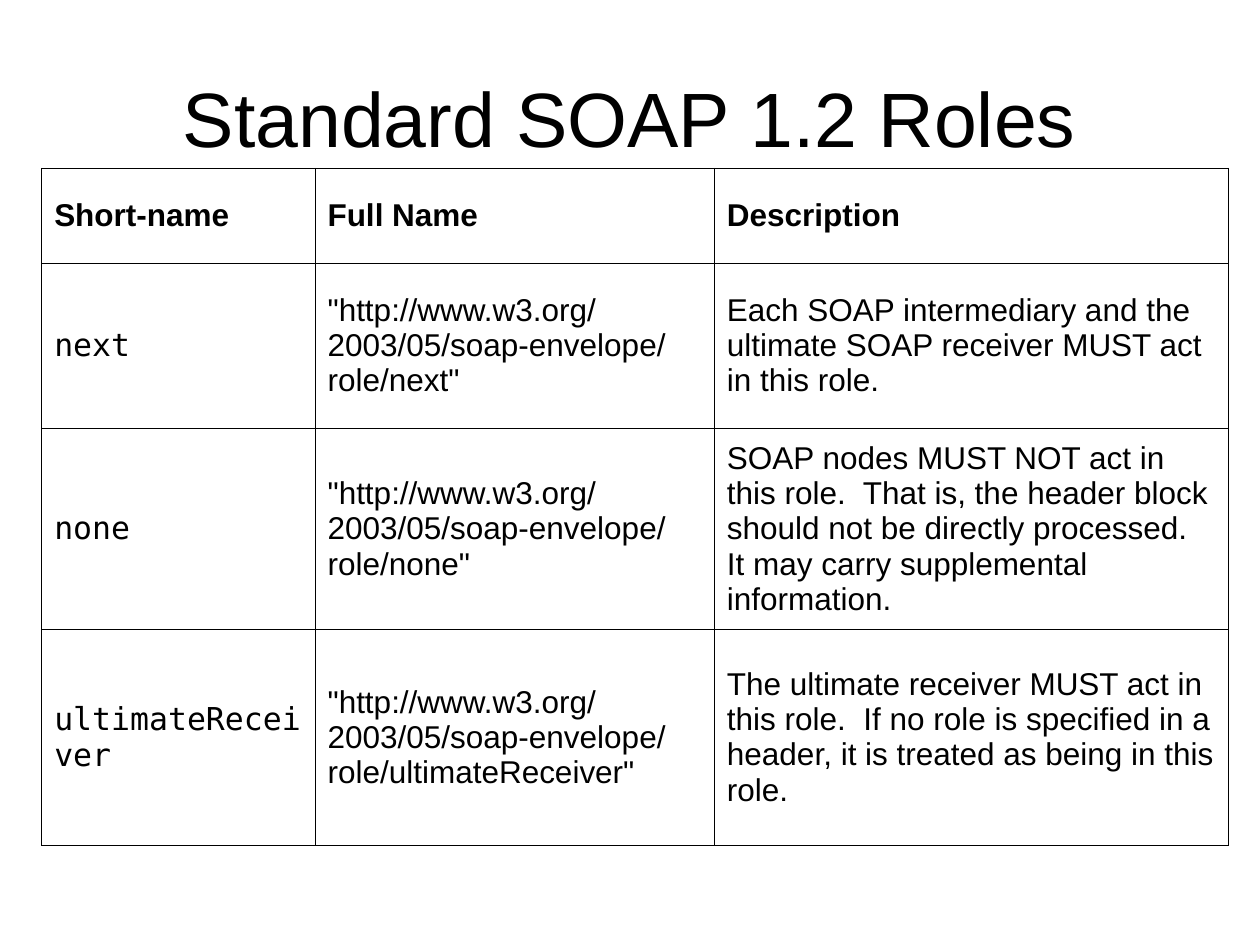
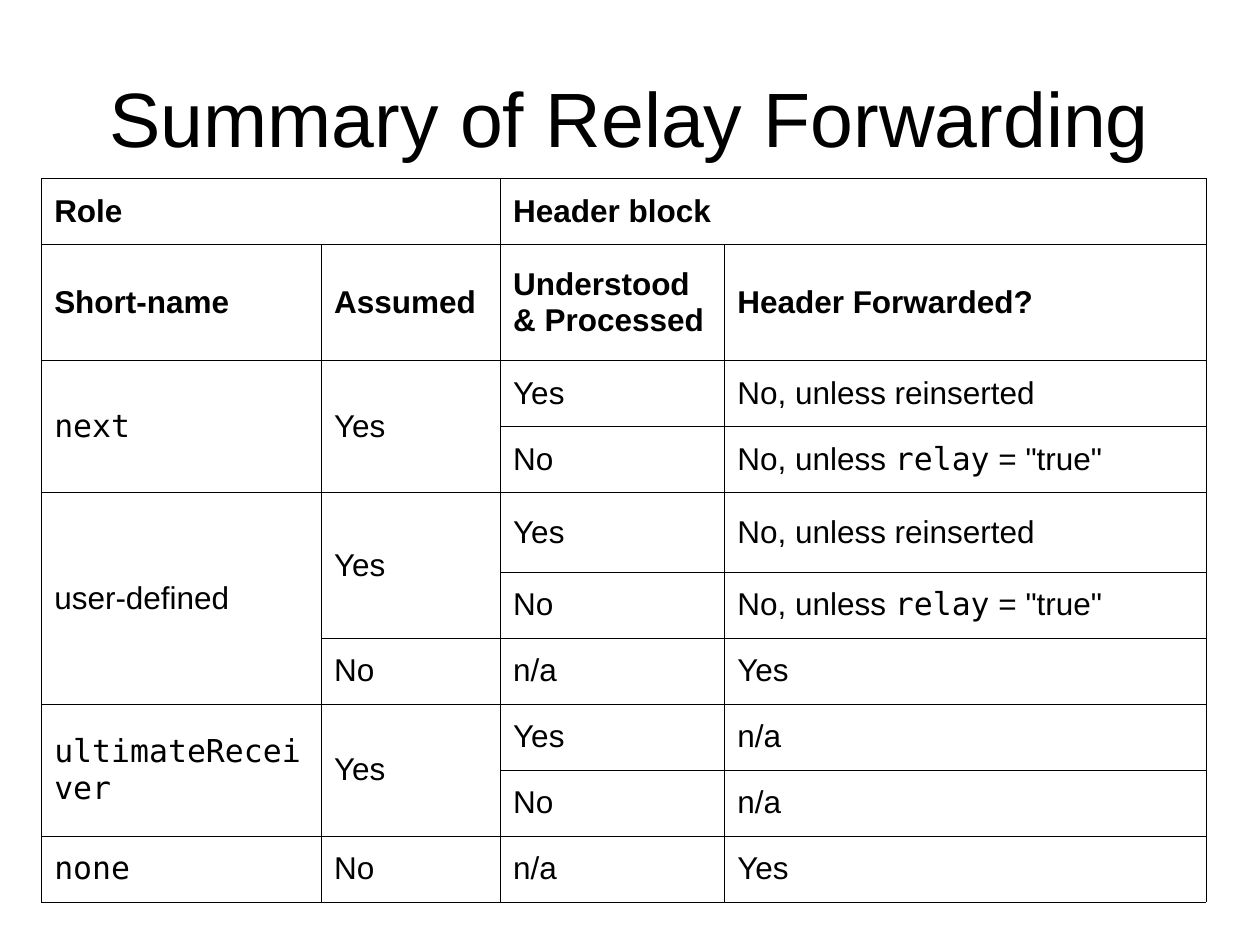
import pptx
import pptx.dml.color
import pptx.enum.text
import pptx.oxml
import pptx.oxml.ns
import pptx.util

Cm = pptx.util.Cm
Pt = pptx.util.Pt
MIDDLE = pptx.enum.text.MSO_ANCHOR.MIDDLE

BLACK = "000000"
TEXT_FONT = "Arial"
CODE_FONT = "DejaVu Sans Mono"
BORDER_WIDTH = Pt(0.34)
TABLE_LEFT = 0.84


def style_paragraph(paragraph, text, size, bold=False):
    """Fill a paragraph; text between backticks is set in the code font."""
    paragraph.font.size = Pt(size)
    paragraph.font.bold = bold
    paragraph.font.name = TEXT_FONT
    paragraph.font.color.rgb = pptx.dml.color.RGBColor.from_string(BLACK)
    for index, part in enumerate(text.split("`")):
        if part:
            run = paragraph.add_run()
            run.text = part
            if index % 2:
                run.font.name = CODE_FONT


def add_borders(cell):
    properties = cell._tc.get_or_add_tcPr()
    for side in "LRTB":
        properties.append(pptx.oxml.parse_xml(
            f'<a:ln{side} {pptx.oxml.ns.nsdecls("a")} w="{BORDER_WIDTH}">'
            f'<a:solidFill><a:srgbClr val="{BLACK}"/></a:solidFill></a:ln{side}>'))


NAMESPACE = "http://www.w3.org/2003/05/soap-envelope/role/"
REINSERTED = "No, unless reinserted"
RELAYED = 'No, unless `relay` = "true"'

# Merges are (first row, first column, last row, last column).
slides = [
    {
        "title": "Standard SOAP 1.2 Roles",
        "top": 3.39,
        "widths": [5.51, 8.05, 10.36],
        "heights": [1.91, 3.33, 4.06, 4.34],
        "header_rows": 1,
        "merges": [],
        "rows": [
            ["Short-name", "Full Name", "Description"],
            ["`next`", f'"{NAMESPACE}next"',
             "Each SOAP intermediary and the ultimate SOAP receiver MUST act in this role."],
            ["`none`", f'"{NAMESPACE}none"',
             "SOAP nodes MUST NOT act in this role.  That is, the header block should not be "
             "directly processed.  It may carry supplemental information."],
            ["`ultimateReceiver`", f'"{NAMESPACE}ultimateReceiver"',
             "The ultimate receiver MUST act in this role.  If no role is specified in a "
             "header, it is treated as being in this role."],
        ],
    },
    {
        "title": "Summary of Relay Forwarding",
        "top": 3.6,
        "widths": [5.64, 3.61, 4.52, 9.7],
        "heights": [1.33, 2.34, 1.33, 1.33, 1.6] + [1.33] * 5,
        "header_rows": 2,
        "merges": [(0, 0, 0, 1), (0, 2, 0, 3), (2, 0, 3, 0), (2, 1, 3, 1),
                   (4, 0, 6, 0), (4, 1, 5, 1), (7, 0, 8, 0), (7, 1, 8, 1)],
        "rows": [
            ["Role", "", "Header block", ""],
            ["Short-name", "Assumed", "Understood & Processed", "Header Forwarded?"],
            ["`next`", "Yes", "Yes", REINSERTED],
            ["", "", "No", RELAYED],
            ["user-defined", "Yes", "Yes", REINSERTED],
            ["", "", "No", RELAYED],
            ["", "No", "n/a", "Yes"],
            ["`ultimateReceiver`", "Yes", "Yes", "n/a"],
            ["", "", "No", "n/a"],
            ["`none`", "No", "n/a", "Yes"],
        ],
    },
]

presentation = pptx.Presentation()
presentation.slide_width = Cm(25.4)
presentation.slide_height = Cm(19.05)

for content in slides:
    slide = presentation.slides.add_slide(presentation.slide_layouts[6])

    title = slide.shapes.add_textbox(Cm(1.27), Cm(0.76), Cm(22.86), Cm(3.18))
    title.text_frame.word_wrap = True
    title.text_frame.vertical_anchor = MIDDLE
    paragraph = title.text_frame.paragraphs[0]
    paragraph.alignment = pptx.enum.text.PP_ALIGN.CENTER
    style_paragraph(paragraph, content["title"], 44)

    widths, heights = content["widths"], content["heights"]
    table = slide.shapes.add_table(
        len(heights), len(widths), Cm(TABLE_LEFT), Cm(content["top"]),
        Cm(sum(widths)), Cm(sum(heights))).table
    table.first_row = False
    table.horz_banding = False
    for column, width in zip(table.columns, widths):
        column.width = Cm(width)
    for row, height in zip(table.rows, heights):
        row.height = Cm(height)

    for row_index, texts in enumerate(content["rows"]):
        for column_index, text in enumerate(texts):
            cell = table.cell(row_index, column_index)
            cell.vertical_anchor = MIDDLE
            add_borders(cell)
            cell.fill.background()
            style_paragraph(cell.text_frame.paragraphs[0], text, 18,
                            bold=row_index < content["header_rows"])

    for top, left, bottom, right in content["merges"]:
        table.cell(top, left).merge(table.cell(bottom, right))

presentation.save("out.pptx")
